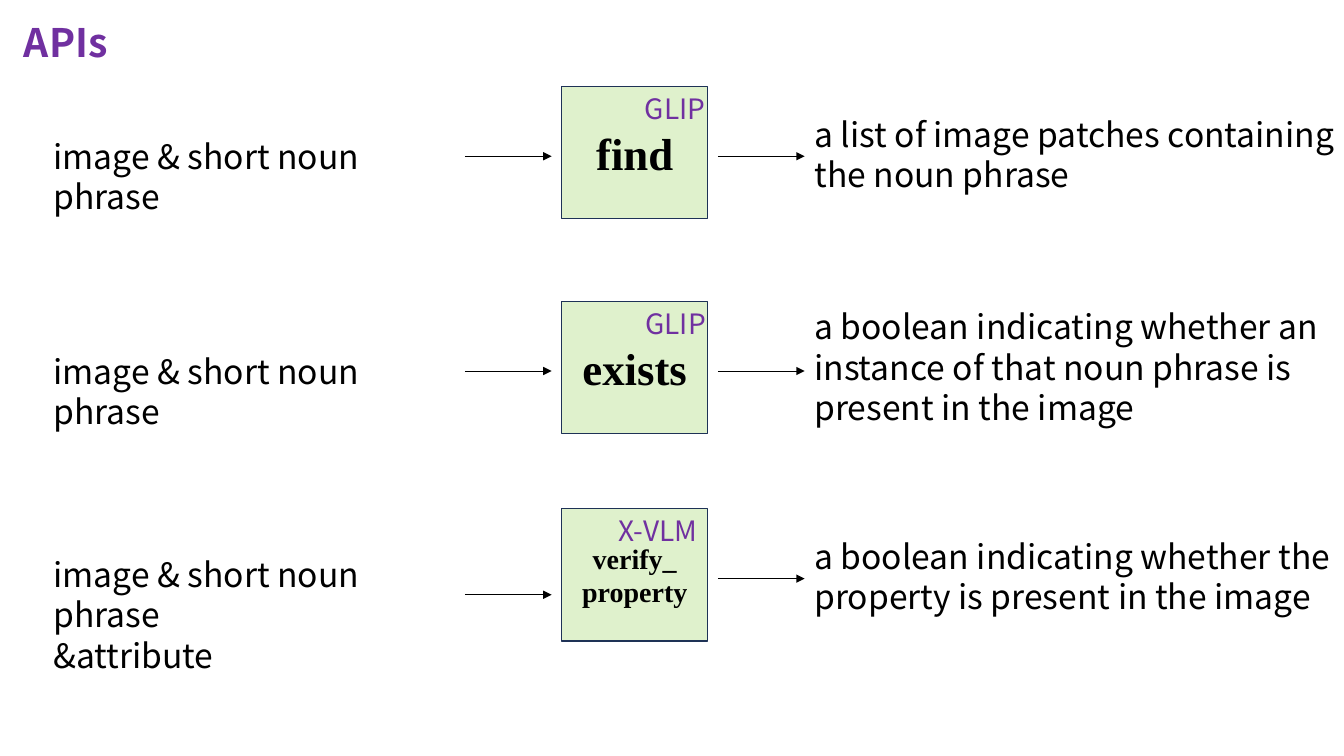
from pptx import Presentation
from pptx.dml.color import RGBColor
from pptx.enum.shapes import MSO_CONNECTOR, MSO_SHAPE
from pptx.enum.text import MSO_ANCHOR, MSO_AUTO_SIZE, PP_ALIGN
from pptx.oxml.ns import qn
from pptx.util import Pt
from lxml.etree import SubElement

COLORS = {"text": "000000", "accent": "7030A0", "box": "92D050", "outline": "1E3256"}
SANS, SERIF = "Noto Sans CJK SC", "Times New Roman"

BOX_LEFT, BOX_WIDTH, BOX_HEIGHT = 401.2, 104.4, 94.4
INPUT_LEFT, INPUT_WIDTH = 31, 301
OUTPUT_LEFT, OUTPUT_WIDTH = 574.6, 390
ARROW_LENGTH = 62
ARROW_STARTS = (332, 512.8)

presentation = Presentation()
presentation.slide_width, presentation.slide_height = Pt(960), Pt(540)
slide = presentation.slides.add_slide(presentation.slide_layouts[6])


def format_text(shape, text, size, font, color, bold=False, align=PP_ALIGN.LEFT):
    frame = shape.text_frame
    frame.word_wrap = True
    frame.text = text
    for paragraph in frame.paragraphs:
        paragraph.alignment = align
        for run in paragraph.runs:
            run.font.size, run.font.name, run.font.bold = Pt(size), font, bold
            run.font.color.rgb = RGBColor.from_string(COLORS[color])
            # The same typeface for East Asian text
            SubElement(run.font._element, qn("a:ea")).set("typeface", font)


def add_text(left, top, width, height, text, size, color="text", bold=False):
    shape = slide.shapes.add_textbox(Pt(left), Pt(top), Pt(width), Pt(height))
    format_text(shape, text, size, SANS, color, bold)
    shape.text_frame.auto_size = MSO_AUTO_SIZE.SHAPE_TO_FIT_TEXT


# Each row: box top, name, name size, model, model left and width,
# input top and text, output top and text, heights of the two arrows
rows = [
    (61.9, "find", 32, "GLIP", 453.6, 73.4,
     93.6, "image & short noun phrase",
     77.8, "a list of image patches containing the noun phrase", (111.6, 111.6)),
    (215.3, "exists", 32, "GLIP", 453.9, 73.4,
     247, "image & short noun phrase",
     215.3, "a boolean indicating whether an instance of that noun phrase "
     "is present in the image", (265, 265)),
    (363.4, "verify_\nproperty", 20, "X-VLM", 434.9, 82,
     392, "image & short noun phrase\n&attribute",
     378.9, "a boolean indicating whether the property is present in the image",
     (424.8, 413.3)),
]

for (box_top, name, name_size, model, model_left, model_width, input_top, input_text,
     output_top, output_text, arrow_heights) in rows:
    # Function box with a translucent fill
    box = slide.shapes.add_shape(MSO_SHAPE.RECTANGLE, Pt(BOX_LEFT), Pt(box_top),
                                 Pt(BOX_WIDTH), Pt(BOX_HEIGHT))
    box.shadow.inherit = False
    box.fill.solid()
    box.fill.fore_color.rgb = RGBColor.from_string(COLORS["box"])
    fill_color = box._element.spPr.find(qn("a:solidFill")).find(qn("a:srgbClr"))
    SubElement(fill_color, qn("a:alpha")).set("val", "29000")
    box.line.color.rgb = RGBColor.from_string(COLORS["outline"])
    box.line.width = Pt(1)
    box.text_frame.vertical_anchor = MSO_ANCHOR.MIDDLE
    format_text(box, name, name_size, SERIF, "text", True, PP_ALIGN.CENTER)

    # Model, input and output labels
    add_text(model_left, box_top, model_width, 31.5, model, 20, "accent")
    add_text(INPUT_LEFT, input_top, INPUT_WIDTH, 65.4, input_text, 24)
    add_text(OUTPUT_LEFT, output_top, OUTPUT_WIDTH, 65.4, output_text, 24)

    # Arrows into and out of the box
    for start, height in zip(ARROW_STARTS, arrow_heights):
        arrow = slide.shapes.add_connector(MSO_CONNECTOR.STRAIGHT, Pt(start), Pt(height),
                                           Pt(start + ARROW_LENGTH), Pt(height))
        arrow.line.color.rgb = RGBColor.from_string(COLORS["text"])
        arrow.line.width = Pt(0.5)
        SubElement(arrow.line._get_or_add_ln(), qn("a:tailEnd")).set("type", "triangle")
        SubElement(arrow._element.spPr, qn("a:effectLst"))

# Title
add_text(10, 9.4, 82, 41, "APIs", 28, "accent", True)

presentation.save("out.pptx")
